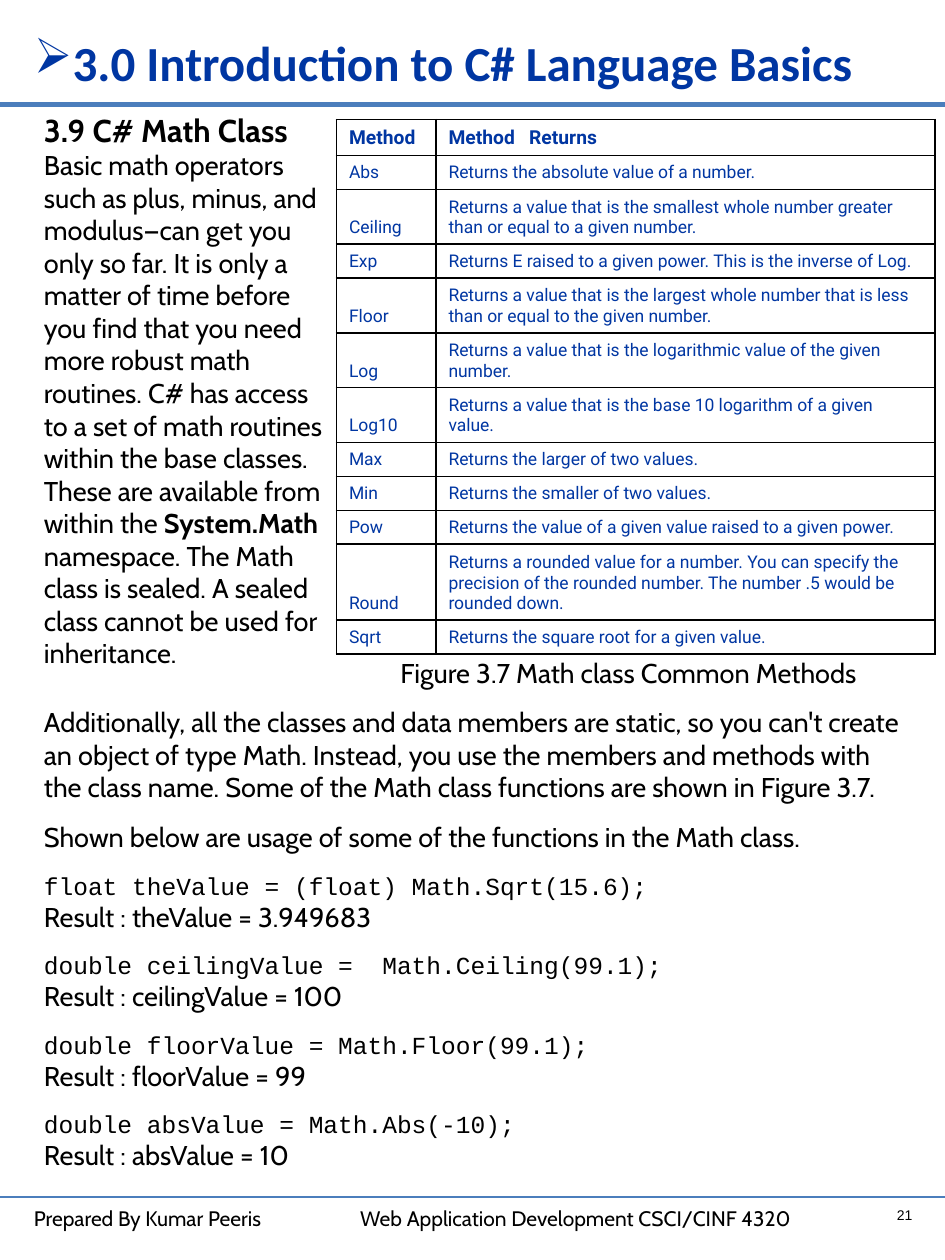
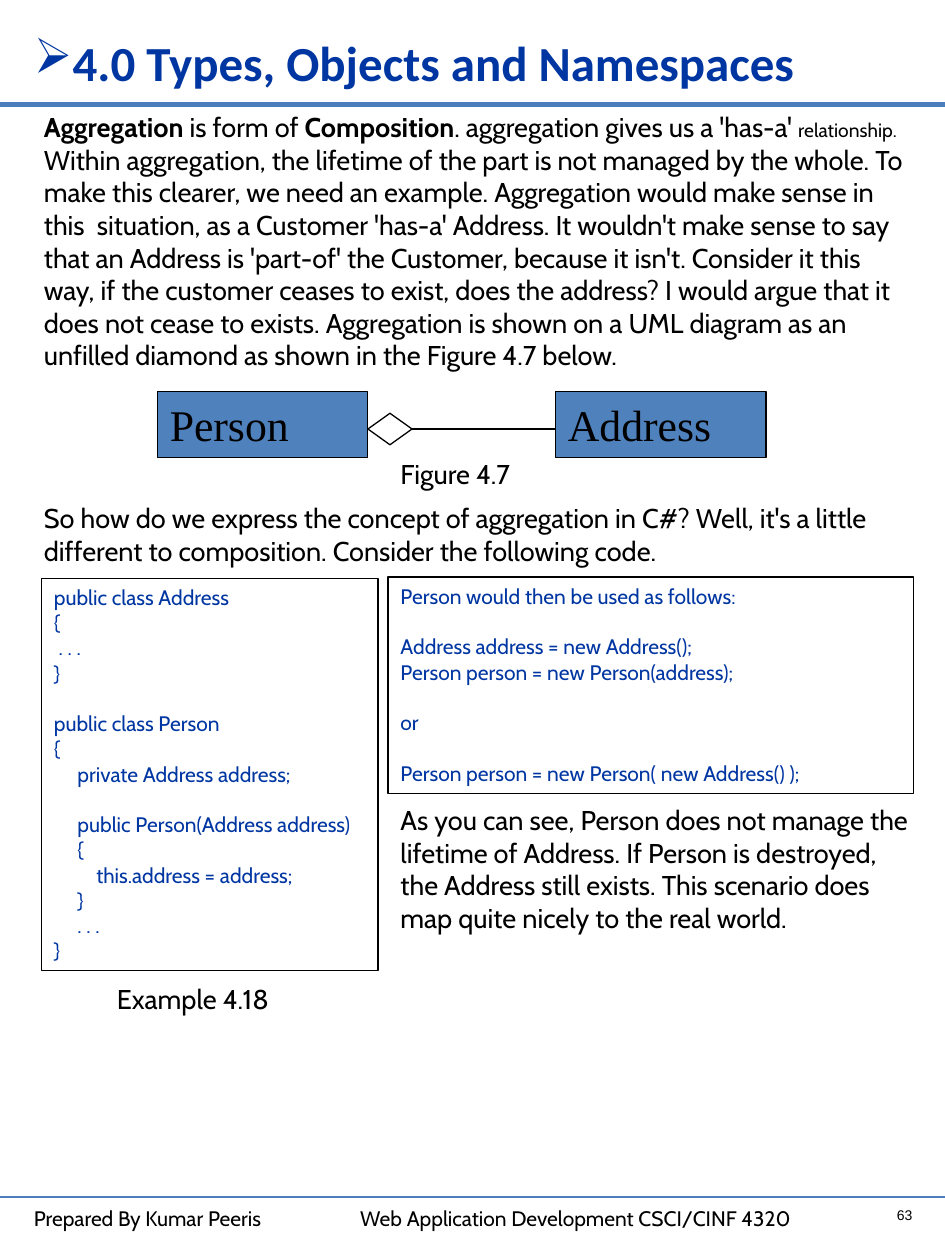
from dataclasses import dataclass

from lxml.etree import SubElement
from pptx import Presentation
from pptx.dml.color import RGBColor
from pptx.enum.shapes import MSO_CONNECTOR, MSO_SHAPE
from pptx.enum.text import MSO_ANCHOR, PP_ALIGN
from pptx.oxml.ns import qn
from pptx.util import Inches, Pt

BLUE, RULE, BOX_BLUE = "0036A2", "4B7EBC", "4F81BD"
BLACK, WHITE = "000000", "FFFFFF"
BODY_SIZE = 15.5


@dataclass
class Style:
    size: float = BODY_SIZE
    font: str = "Cabin"
    color: str = BLACK
    bold: bool = False
    gap: float = 0


BODY = Style()
SPACED = Style(gap=10)
HEADING = Style(size=18, bold=True)
TITLE = Style(28, "Calibri", BLUE, True)
FOOTER = Style(size=12)
PAGE_NUMBER = Style(8, "Arial")
STATEMENT = Style(14, "Courier New", gap=10)
LISTING = Style(12, color=BLUE)
LISTING_GAP = Style(12, color=BLUE, gap=14.5)
CLASS_NAME = Style(25, "Times New Roman")
TABLE_HEAD = Style(11, "Roboto", BLUE, True)
TABLE_BODY = Style(10, "Roboto", BLUE)

METHODS = [
    ("Method", "Method\tReturns", 0.28),
    ("Abs", "Returns the absolute value of a number.", 0.27),
    ("Ceiling", "Returns a value that is the smallest whole number greater than or equal to a given number.", 0.43),
    ("Exp", "Returns E raised to a given power. This is the inverse of Log.", 0.27),
    ("Floor", "Returns a value that is the largest whole number that is less than or equal to the given number.", 0.43),
    ("Log", "Returns a value that is the logarithmic value of the given number.", 0.43),
    ("Log10", "Returns a value that is the base 10 logarithm of a given value.", 0.43),
    ("Max", "Returns the larger of two values.", 0.27),
    ("Min", "Returns the smaller of two values.", 0.27),
    ("Pow", "Returns the value of a given value raised to a given power.", 0.27),
    ("Round", "Returns a rounded value for a number. You can specify the precision of the rounded number. "
              "The number .5 would be rounded down.", 0.6),
    ("Sqrt", "Returns the square root for a given value.", 0.27),
]

MATH_INTRO = [
    ("Basic math operators such as plus, minus, and modulus—can get you only so far. It is only a matter of time "
     "before you find that you need more robust math routines. C# has access to a set of math routines within the "
     "base classes. These are available from within the ", {}),
    ("System.Math", {"bold": True}),
    (" namespace. The Math class is sealed. A sealed class cannot be used for inheritance.", {}),
]

MATH_NOTES = [
    "Additionally, all the classes and data members are static, so you can't create an object of type Math. "
    "Instead, you use the members and methods with the class name. Some of the Math class functions are shown "
    "in Figure 3.7.",
    "Shown below are usage of some of the functions in the Math class.",
]

MATH_EXAMPLES = [
    ("float theValue = (float) Math.Sqrt(15.6);", "Result : theValue = 3.949683"),
    ("double ceilingValue =  Math.Ceiling(99.1);", "Result : ceilingValue = 100"),
    ("double floorValue = Math.Floor(99.1);", "Result : floorValue = 99"),
    ("double absValue = Math.Abs(-10);", "Result : absValue = 10"),
]

AGGREGATION_LEAD = [
    ("Aggregation", {"bold": True}),
    (" is form of ", {}),
    ("Composition", {"bold": True}),
    (". aggregation gives us a 'has-a' ", {}),
    ("relationship.", {"size": 11}),
]

AGGREGATION_LINES = [
    "Within aggregation, the lifetime of the part is not managed by the whole. To",
    "make this clearer, we need an example. Aggregation would make sense in",
    "this  situation, as a Customer 'has-a' Address. It wouldn't make sense to say",
    "that an Address is 'part-of' the Customer, because it isn't. Consider it this",
    "way, if the customer ceases to exist, does the address? I would argue that it",
    "does not cease to exists. Aggregation is shown on a UML diagram as an",
    "unfilled diamond as shown in the Figure 4.7 below.",
]

QUESTION_LINES = [
    "So how do we express the concept of aggregation in C#? Well, it's a little",
    "different to composition. Consider the following code.",
]

CLASS_CODE = """public class Address
{
 . . .
}

public class Person
{
     private Address address;

     public Person(Address address)
     {
         this.address = address;
     }
     . . .
}"""

USAGE_CODE = """Person would then be used as follows:

Address address = new Address();
Person person = new Person(address);

or

Person person = new Person( new Address() );"""

LIFETIME = ("As you can see, Person does not manage the lifetime of Address. If Person is destroyed, "
            "the Address still exists. This scenario does map quite nicely to the real world.")


def rgb(value):
    return RGBColor.from_string(value)


def inches(box):
    return [Inches(length) for length in box]


def add_tab(paragraph, position):
    tabs = SubElement(paragraph._p.get_or_add_pPr(), qn("a:tabLst"))
    SubElement(tabs, qn("a:tab"), pos=str(Inches(position)), algn="l")


def add_bullet(paragraph, symbol):
    properties = paragraph._p.get_or_add_pPr()
    properties.set("marL", "0")
    properties.set("indent", "0")
    SubElement(properties, qn("a:buChar"), char=symbol)


def format_run(run, style, size=None, bold=None):
    run.font.size = Pt(size or style.size)
    run.font.name = style.font
    run.font.bold = style.bold if bold is None else bold
    run.font.color.rgb = rgb(style.color)


def write(frame, paragraphs, anchor=MSO_ANCHOR.TOP):
    frame.word_wrap = True
    frame.vertical_anchor = anchor
    for index, (content, style) in enumerate(paragraphs):
        paragraph = frame.add_paragraph() if index else frame.paragraphs[0]
        paragraph.alignment = PP_ALIGN.LEFT
        if index and style.gap:
            paragraph.space_before = Pt(style.gap)
        pieces = [(content, {})] if isinstance(content, str) else content
        for text, changes in pieces:
            run = paragraph.add_run()
            run.text = text
            format_run(run, style, **changes)
    return frame


def add_text(slide, box, paragraphs, anchor=MSO_ANCHOR.TOP):
    return write(slide.shapes.add_textbox(*inches(box)).text_frame, paragraphs, anchor)


def add_outlined(slide, kind, box, fill=None):
    outlined = slide.shapes.add_shape(kind, *inches(box))
    outlined.shadow.inherit = False
    if fill:
        outlined.fill.solid()
        outlined.fill.fore_color.rgb = rgb(fill)
    else:
        outlined.fill.background()
    outlined.line.color.rgb = rgb(BLACK)
    outlined.line.width = Pt(0.75)
    return outlined


def add_rule(slide, start, end, color, width):
    rule = slide.shapes.add_connector(MSO_CONNECTOR.STRAIGHT, *inches(start + end))
    rule.line.color.rgb = rgb(color)
    rule.line.width = Pt(width)
    SubElement(rule._element.spPr, qn("a:effectLst"))
    return rule


def add_title(slide, box, title):
    left, top, width, height = box
    add_rule(slide, (0, top + height + 0.05), (7.5, top + height + 0.05), RULE, 3.25)
    frame = add_text(slide, box, [(title, TITLE)])
    add_bullet(frame.paragraphs[0], "➢")


def add_footer(slide, box, number):
    left, top, width, height = box
    add_rule(slide, (left, top), (left + width, top), RULE, 0.75)
    frame = add_text(slide, (left + 0.17, top + 0.02, 7, height),
                     [("Prepared By Kumar Peeris\tWeb Application Development CSCI/CINF 4320", FOOTER)])
    add_tab(frame.paragraphs[0], 2.59)
    page = add_text(slide, (left + 6.88, top - 0.17, 0.46, 0.43), [(number, PAGE_NUMBER)], MSO_ANCHOR.BOTTOM)
    page.paragraphs[0].alignment = PP_ALIGN.RIGHT


def add_page(deck, title, number):
    slide = deck.slides.add_slide(deck.slide_layouts[6])
    add_title(slide, (0.17, 0.21, 7.08, 0.57), title)
    add_footer(slide, (0, 9.5, 7.5, 0.3), number)
    return slide


def border_cell(cell):
    properties = cell._tc.get_or_add_tcPr()
    for side in ("lnL", "lnR", "lnT", "lnB"):
        edge = SubElement(properties, qn(f"a:{side}"), w=str(Pt(1)))
        SubElement(SubElement(edge, qn("a:solidFill")), qn("a:srgbClr"), val=BLACK)


def add_methods_table(slide, box):
    table = slide.shapes.add_table(len(METHODS), 2, *inches(box)).table
    table.first_row = table.horz_banding = False
    table.columns[0].width = Inches(0.79)
    table.columns[1].width = Inches(box[2] - 0.79)
    for index, (method, returns, height) in enumerate(METHODS):
        table.rows[index].height = Inches(height)
        for cell, text in zip(table.rows[index].cells, (method, returns)):
            border_cell(cell)
            cell.fill.solid()
            cell.fill.fore_color.rgb = rgb(WHITE)
            cell.vertical_anchor = MSO_ANCHOR.BOTTOM
            write(cell.text_frame, [(text, TABLE_BODY if index else TABLE_HEAD)], MSO_ANCHOR.BOTTOM)
    add_tab(table.cell(0, 1).text_frame.paragraphs[0], 0.64)


def add_aggregation_diagram(slide, box):
    left, top, width, height = box
    class_width = 1.67
    address_left = left + width - class_width
    for name, class_left in (("Person", left), ("Address", address_left)):
        owner = add_outlined(slide, MSO_SHAPE.RECTANGLE, (class_left, top, class_width, height), BOX_BLUE)
        write(owner.text_frame, [(name, CLASS_NAME)])
    diamond_box = (left + class_width, top + 0.17, 0.35, 0.25)
    diamond = add_outlined(slide, MSO_SHAPE.DIAMOND, diamond_box)
    middle = diamond_box[1] + diamond_box[3] / 2
    link = add_rule(slide, (diamond_box[0] + diamond_box[2], middle), (address_left, middle), BLACK, 0.75)
    link.begin_connect(diamond, 3)


def add_listing(slide, box, code):
    paragraphs = []
    for block in code.split("\n\n"):
        first, *rest = block.split("\n")
        paragraphs += [(first, LISTING_GAP)] + [(line, LISTING) for line in rest]
    write(add_outlined(slide, MSO_SHAPE.RECTANGLE, box, WHITE).text_frame, paragraphs)


def build_math_slide(deck):
    slide = add_page(deck, "3.0 Introduction to C# Language Basics", "21")
    add_text(slide, (0.25, 0.83, 2.42, 4.75), [("3.9 C# Math Class", HEADING), (MATH_INTRO, BODY)])
    add_methods_table(slide, (2.67, 0.95, 4.75, 4.22))
    add_text(slide, (3.08, 5.16, 3.92, 0.42), [("Figure 3.7 Math class Common Methods", BODY)])
    notes = [(note, SPACED) for note in MATH_NOTES]
    for statement, result in MATH_EXAMPLES:
        notes += [(statement, STATEMENT), (result, BODY)]
    add_text(slide, (0.25, 5.55, 7.08, 3.95), notes)


def build_aggregation_slide(deck):
    slide = add_page(deck, "4.0 Types, Objects and Namespaces", "63")
    add_text(slide, (0.25, 0.83, 7.12, 2.17),
             [(AGGREGATION_LEAD, BODY)] + [(line, BODY) for line in AGGREGATION_LINES])
    add_aggregation_diagram(slide, (1.25, 3.11, 4.83, 0.52))
    add_text(slide, (3.08, 3.58, 1.17, 0.33), [("Figure 4.7", BODY)])
    add_text(slide, (0.25, 3.93, 7.12, 0.62), [(line, BODY) for line in QUESTION_LINES])
    add_listing(slide, (0.33, 4.59, 2.67, 3.11), CLASS_CODE)
    add_listing(slide, (3.08, 4.58, 4.17, 1.72), USAGE_CODE)
    add_text(slide, (3.08, 6.33, 4.29, 1.17), [(LIFETIME, BODY)])
    add_text(slide, (0.83, 7.75, 1.58, 0.33), [("Example 4.18", BODY)])


def main():
    deck = Presentation()
    deck.slide_width, deck.slide_height = Inches(7.5), Inches(10)
    build_math_slide(deck)
    build_aggregation_slide(deck)
    deck.save("out.pptx")


if __name__ == "__main__":
    main()
